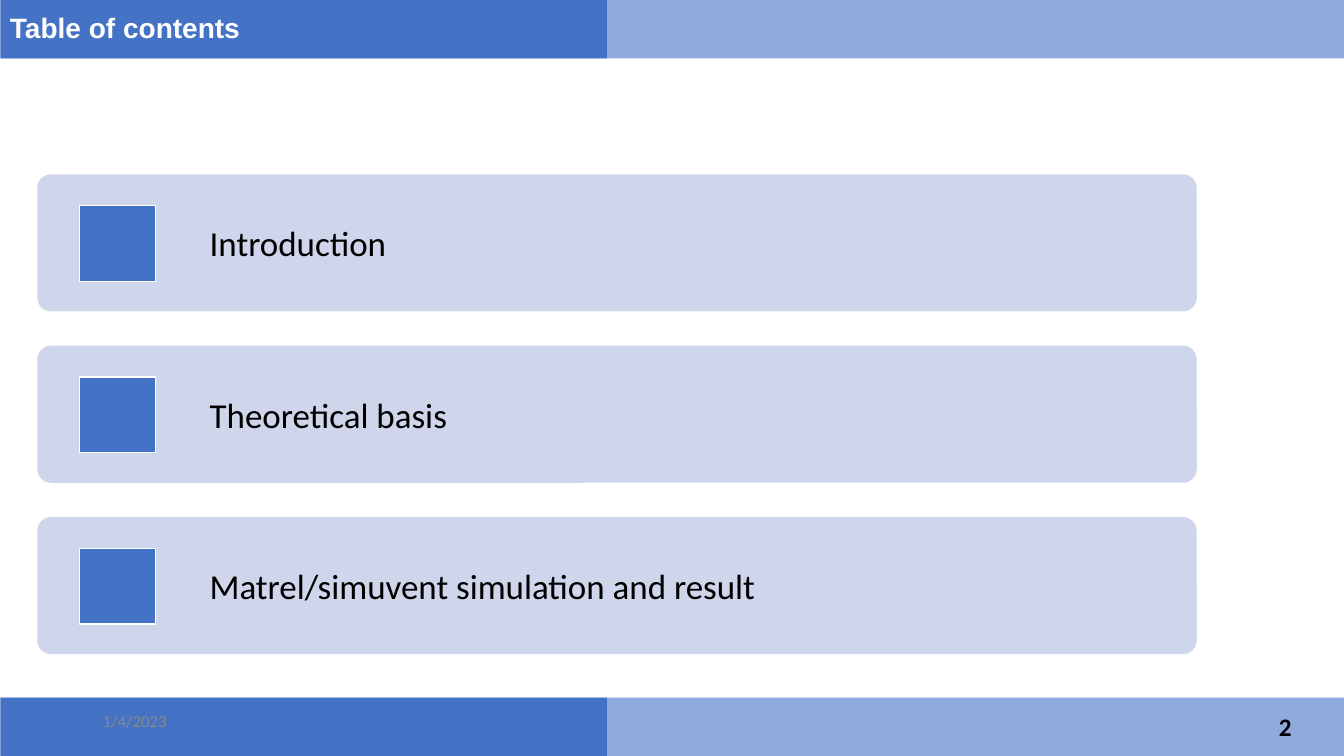
from pptx import Presentation
from pptx import util as u
from pptx.dml.color import RGBColor
from pptx.enum import shapes, text

EMU_PER_PX = 9144  # 100 px to the inch


def px(length):
    return u.Emu(length * EMU_PER_PX)


def colour(hex_code):
    return RGBColor.from_string(hex_code)


class SlideBuilder:
    BLUE, LIGHT_BLUE, CARD = "4472C4", "8FAADC", "CFD5EA"
    WHITE, BLACK, GREY = "FFFFFF", "000000", "898989"

    def __init__(self, slide):
        self.slide = slide

    def block(self, x, y, w, h, fill, line=None, rounding=None):
        kind = shapes.MSO_SHAPE.RECTANGLE if rounding is None else shapes.MSO_SHAPE.ROUNDED_RECTANGLE
        block = self.slide.shapes.add_shape(kind, px(x), px(y), px(w), px(h))
        block.shadow.inherit = False
        block.fill.solid()
        block.fill.fore_color.rgb = colour(fill)
        if line:
            block.line.color.rgb = colour(line)
            block.line.width = u.Pt(1)
        else:
            block.line.fill.background()
        if rounding is not None:
            block.adjustments[0] = rounding

    def label(self, words, x, y, w, h, size, ink, font="Calibri", bold=False,
              align=text.PP_ALIGN.LEFT, inset=None, spacing=None):
        frame = self.slide.shapes.add_textbox(px(x), px(y), px(w), px(h)).text_frame
        frame.word_wrap = True
        frame.vertical_anchor = text.MSO_ANCHOR.MIDDLE
        if inset is not None:
            frame.margin_left = frame.margin_right = px(inset)
            frame.margin_top = frame.margin_bottom = px(inset)
        paragraph = frame.paragraphs[0]
        paragraph.text = words
        paragraph.alignment = align
        paragraph.line_spacing = spacing
        paragraph.font.name = font
        paragraph.font.size = u.Pt(size)
        paragraph.font.bold = bold
        paragraph.font.color.rgb = colour(ink)

    def band(self, y):
        """Full-width light strip with a darker left part."""
        self.block(0, y, 1333, 58, self.LIGHT_BLUE)
        self.block(1, y, 601, 58, self.BLUE)

    def topic(self, words, y):
        """Rounded card with a square marker and its topic."""
        self.block(37, y, 1150, 136, self.CARD, rounding=0.1)
        self.block(79, y + 31, 75, 75, self.BLUE, line=self.WHITE)
        self.label(words, 194, y, 993, 136, 25, self.BLACK, inset=14)


def main():
    deck = Presentation()
    deck.slide_width, deck.slide_height = px(1333), px(750)
    contents = SlideBuilder(deck.slides.add_slide(deck.slide_layouts[6]))

    for band_top in (0, 692):
        contents.band(band_top)
    contents.label("Table of contents", 0, 0, 601, 58, 20, contents.WHITE,
                   font="Arial", bold=True, spacing=0.9)

    topics = ("Introduction", "Theoretical basis", "Matrel/simuvent simulation and result")
    for row, topic in enumerate(topics):
        contents.topic(topic, 173 + 170 * row)

    contents.label("1/4/2023", 92, 695, 300, 40, 12, contents.GREY)
    contents.label("2", 991, 701, 300, 40, 18, contents.BLACK, bold=True,
                   align=text.PP_ALIGN.RIGHT)
    deck.save("out.pptx")


if __name__ == "__main__":
    main()
